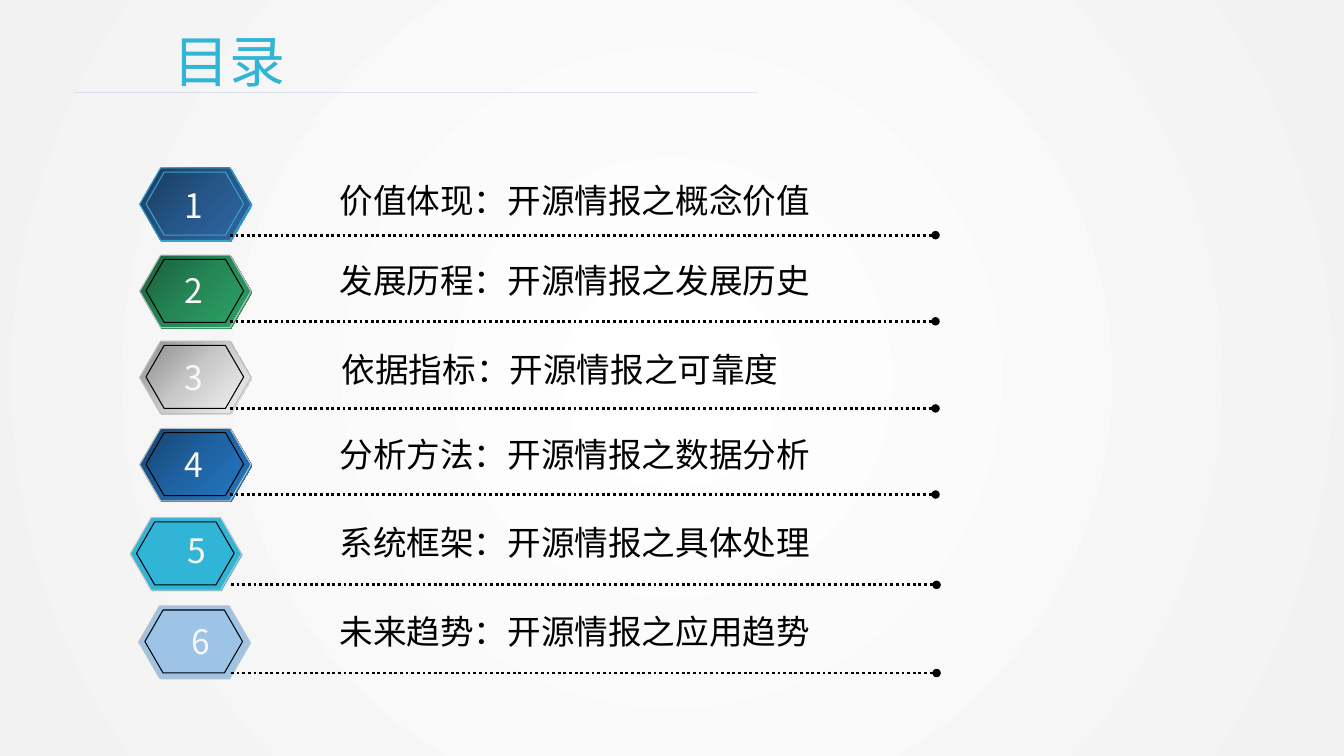
from dataclasses import dataclass

from lxml.etree import SubElement
from pptx import Presentation
from pptx.dml.color import RGBColor
from pptx.enum.dml import MSO_LINE
from pptx.enum.shapes import MSO_CONNECTOR, MSO_SHAPE
from pptx.enum.text import MSO_ANCHOR, MSO_AUTO_SIZE, PP_ALIGN
from pptx.oxml.ns import qn
from pptx.util import Pt

EMU_PER_PX = 9525


@dataclass(frozen=True)
class Theme:
    font: str = "Noto Sans CJK SC"
    title_size: int = 40
    entry_size: int = 24
    title: str = "31B5D6"
    entry: str = "000000"
    number: str = "F8F8F8"
    title_rule: str = "4A7EBB"
    center: str = "FFFFFF"
    edge: str = "F2F2F2"
    rim: str = "C0C0C0"
    inner_rim: str = "000000"
    first_rim: str = "3DA2CB"


@dataclass(frozen=True)
class Entry:
    text: str
    colors: tuple[str, ...]
    badge_left: int
    badge_top: int
    number_center: int
    number_top: int
    text_left: int
    text_top: int
    rule_left: int
    rule_y: int


@dataclass(frozen=True)
class BadgeLayer:
    dx: int
    dy: int
    width: int
    height: int
    rim: str | None


THEME = Theme()

ENTRIES = (
    Entry("价值体现：开源情报之概念价值", ("1A3C5F", "255687", "2B66A1"),
          133, 160, 185, 171, 314, 167, 219, 224),
    Entry("发展历程：开源情报之发展历史", ("1A5F3C", "258756", "2BA166"),
          133, 243, 185, 252, 314, 243, 219, 306),
    Entry("依据指标：开源情报之可靠度", ("8F8E8E", "CBCACA", "F1F0F0"),
          133, 325, 185, 335, 316, 328, 219, 389),
    Entry("分析方法：开源情报之数据分析", ("164672", "1F63A2", "2476C0"),
          133, 408, 185, 418, 314, 409, 219, 471),
    Entry("系统框架：开源情报之具体处理", ("31B5D6",),
          124, 493, 187, 500, 314, 492, 220, 557),
    Entry("未来趋势：开源情报之应用趋势", ("9DC3E6",),
          132, 577, 191, 587, 314, 577, 220, 641),
)

BADGE_LAYERS = (
    BadgeLayer(1, 1, 106, 69, None),
    BadgeLayer(0, 0, 106, 69, THEME.rim),
    BadgeLayer(6, 4, 93, 60, THEME.inner_rim),
)
RULE_LENGTH = 672
ENTRY_WIDTH, NUMBER_WIDTH, TEXT_HEIGHT = 471, 38, 48


def px(*lengths: int) -> list[int]:
    return [length * EMU_PER_PX for length in lengths]


def rgb(color: str) -> RGBColor:
    return RGBColor.from_string(color)


def set_gradient(fill, element, colors: tuple[str, ...], radial: bool = False) -> None:
    """Spread colors evenly, along a 45 degree line or out from the center."""
    fill.gradient()
    gradient = element.find(".//" + qn("a:gradFill"))
    for child in list(gradient):
        gradient.remove(child)
    stops = SubElement(gradient, qn("a:gsLst"))
    for i, color in enumerate(colors):
        stop = SubElement(stops, qn("a:gs"), pos=str(100000 * i // (len(colors) - 1)))
        SubElement(stop, qn("a:srgbClr"), val=color)
    if radial:
        circle = SubElement(gradient, qn("a:path"), path="circle")
        SubElement(circle, qn("a:fillToRect"), l="50000", t="50000", r="50000", b="50000")
    else:
        SubElement(gradient, qn("a:lin"), ang="2700000", scaled="0")


def format_text(frame, text: str, size: int, color: str, align=PP_ALIGN.LEFT) -> None:
    frame.text = text
    paragraph = frame.paragraphs[0]
    paragraph.alignment = align
    font = paragraph.font
    font.size = Pt(size)
    font.name = THEME.font
    font.color.rgb = rgb(color)
    latin = paragraph._p.find(".//" + qn("a:latin"))
    latin.addnext(latin.makeelement(qn("a:ea"), {"typeface": THEME.font}))


def add_label(slide, left: int, top: int, width: int, text: str, color: str, align) -> None:
    frame = slide.shapes.add_textbox(*px(left, top, width, TEXT_HEIGHT)).text_frame
    frame.word_wrap = False
    frame.auto_size = MSO_AUTO_SIZE.SHAPE_TO_FIT_TEXT
    format_text(frame, text, THEME.entry_size, color, align)


def add_rule(slide, left: int, y: int, length: int, color: str, width: float):
    rule = slide.shapes.add_connector(MSO_CONNECTOR.STRAIGHT, *px(left, y, left + length, y))
    rule.line.color.rgb = rgb(color)
    rule.line.width = Pt(width)
    SubElement(rule._element.spPr, qn("a:effectLst"))
    return rule


def add_badge(slide, entry: Entry, rim: str | None = None) -> None:
    """Stack three hexagons; a given rim color outlines all of them."""
    badge = slide.shapes.add_group_shape()
    for layer in BADGE_LAYERS:
        hexagon = badge.shapes.add_shape(MSO_SHAPE.HEXAGON, *px(
            entry.badge_left + layer.dx, entry.badge_top + layer.dy, layer.width, layer.height))
        hexagon.adjustments[0] = 0.289
        hexagon.shadow.inherit = False
        if len(entry.colors) > 1:
            set_gradient(hexagon.fill, hexagon._element, entry.colors)
        else:
            hexagon.fill.solid()
            hexagon.fill.fore_color.rgb = rgb(entry.colors[0])
        outline = rim or layer.rim
        if outline:
            hexagon.line.color.rgb = rgb(outline)
            hexagon.line.width = Pt(0.75)
        else:
            hexagon.line.fill.background()


def add_entry(slide, number: int, entry: Entry) -> None:
    add_badge(slide, entry, THEME.first_rim if number == 1 else None)
    rule = add_rule(slide, entry.rule_left, entry.rule_y, RULE_LENGTH, THEME.entry, 2)
    rule.line.dash_style = MSO_LINE.ROUND_DOT
    SubElement(rule.line._get_or_add_ln(), qn("a:tailEnd"), type="oval")
    add_label(slide, entry.text_left, entry.text_top, ENTRY_WIDTH,
              entry.text, THEME.entry, PP_ALIGN.LEFT)
    add_label(slide, entry.number_center - NUMBER_WIDTH // 2, entry.number_top, NUMBER_WIDTH,
              str(number), THEME.number, PP_ALIGN.CENTER)


def main() -> None:
    deck = Presentation()
    deck.slide_width, deck.slide_height = px(1280, 720)
    slide = deck.slides.add_slide(deck.slide_layouts[5])
    set_gradient(slide.background.fill, slide.element, (THEME.center, THEME.edge), radial=True)

    # Title and the faint rule below it
    title = slide.shapes.title
    title.left, title.top, title.width, title.height = px(156, 20, 816, 74)
    title.text_frame.vertical_anchor = MSO_ANCHOR.MIDDLE
    format_text(title.text_frame, "目录", THEME.title_size, THEME.title)
    title_rule = add_rule(slide, 71, 88, 650, THEME.title_rule, 0.5)
    rule_color = title_rule._element.spPr.find(".//" + qn("a:srgbClr"))
    SubElement(rule_color, qn("a:alpha"), val="25000")

    # Numbered contents
    for number, entry in enumerate(ENTRIES, start=1):
        add_entry(slide, number, entry)

    deck.save("out.pptx")


if __name__ == "__main__":
    main()
